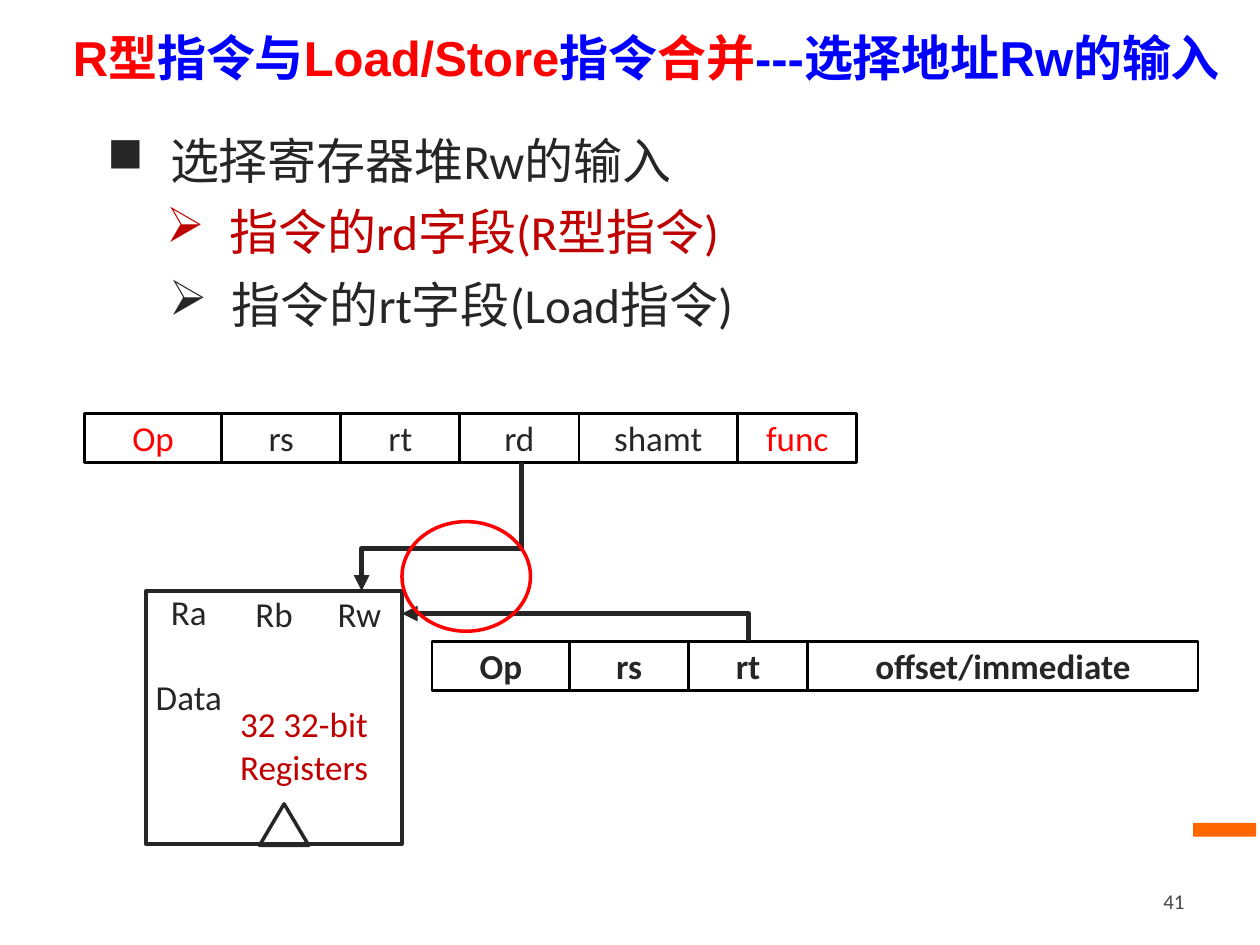
from lxml import etree
from pptx import Presentation
from pptx.dml.color import RGBColor
from pptx.enum.shapes import MSO_CONNECTOR, MSO_SHAPE
from pptx.enum.text import MSO_ANCHOR, PP_ALIGN
from pptx.oxml.ns import qn
from pptx.util import Inches, Pt

RED = RGBColor(0xFF, 0x00, 0x00)
BLUE = RGBColor(0x00, 0x00, 0xFF)
DARK_RED = RGBColor(0xC0, 0x00, 0x00)
INK = RGBColor(0x26, 0x26, 0x26)
GRAY = RGBColor(0x47, 0x47, 0x47)
BLACK = RGBColor(0x00, 0x00, 0x00)
WHITE = RGBColor(0xFF, 0xFF, 0xFF)
ORANGE = RGBColor(0xFF, 0x66, 0x00)

RECT, OVAL = MSO_SHAPE.RECTANGLE, MSO_SHAPE.OVAL
TRIANGLE = MSO_SHAPE.FLOWCHART_EXTRACT
ELBOW = MSO_CONNECTOR.ELBOW
LEFT, CENTER, RIGHT = PP_ALIGN.LEFT, PP_ALIGN.CENTER, PP_ALIGN.RIGHT
TOP, MIDDLE = MSO_ANCHOR.TOP, MSO_ANCHOR.MIDDLE


def add_run(p, text, **fmt):
    r = p.add_run()
    r.text = text
    color = fmt.pop("color", INK)
    for name, value in {"name": "Calibri", "size": Pt(20), **fmt}.items():
        setattr(r.font, name, value)
    r.font.color.rgb = color


def add_text(s, box, lines, align=LEFT, anchor=TOP, inset=(0.1, 0.05), bullet=None, **fmt):
    """Place a text box; each line is a string or a list of (text, color) runs."""
    tf = s.shapes.add_textbox(*map(Inches, box)).text_frame
    tf.word_wrap = True
    tf.vertical_anchor = anchor
    tf.margin_left = tf.margin_right = Inches(inset[0])
    tf.margin_top = tf.margin_bottom = Inches(inset[1])
    for i, line in enumerate(lines):
        p = tf.add_paragraph() if i else tf.paragraphs[0]
        p.alignment = align
        if bullet:
            pPr = p._p.get_or_add_pPr()
            pPr.set("marL", str(Inches(0.5)))
            pPr.set("indent", str(-Inches(0.5)))
            etree.SubElement(pPr, qn("a:buChar")).set("char", bullet)
        if isinstance(line, str):
            add_run(p, line, **fmt)
        else:
            for text, color in line:
                add_run(p, text, color=color, **fmt)


def add_shape(s, kind, box, fill=None, line=None, width=2):
    sp = s.shapes.add_shape(kind, *map(Inches, box))
    sp.shadow.inherit = False
    if fill is None:
        sp.fill.background()
    else:
        sp.fill.solid()
        sp.fill.fore_color.rgb = fill
    if line is None:
        sp.line.fill.background()
    else:
        sp.line.color.rgb = line
        sp.line.width = Pt(width)
    return sp


def add_bent_arrow(s, start, end, preset, adjust=None):
    """Draw an elbow arrow that leaves start vertically and runs left to end."""
    (x1, y1), (x2, y2) = start, end
    w, h = abs(y2 - y1), abs(x2 - x1)
    c = s.shapes.add_connector(ELBOW, 0, 0, 0, 0)
    c.left, c.top = Inches((x1 + x2 - w) / 2), Inches((y1 + y2 - h) / 2)
    c.width, c.height = Inches(w), Inches(h)
    c.line.color.rgb = INK
    c.line.width = Pt(3)
    spPr = c._element.spPr
    xfrm = spPr.find(qn("a:xfrm"))
    xfrm.set("rot", str((90 if y2 > y1 else 270) * 60000))
    if y2 < y1:
        xfrm.set("flipV", "1")
    geom = spPr.find(qn("a:prstGeom"))
    geom.set("prst", preset)
    if adjust is not None:
        gd = etree.SubElement(geom.find(qn("a:avLst")), qn("a:gd"))
        gd.set("name", "adj1")
        gd.set("fmla", f"val {round(adjust * 100000)}")
    etree.SubElement(spPr.find(qn("a:ln")), qn("a:tailEnd")).set("type", "triangle")
    etree.SubElement(spPr, qn("a:effectLst"))


def add_title(s, box):
    runs = [("R型", RED), ("指令与", BLUE), ("Load/Store", RED), ("指令", BLUE),
            ("合并", RED), ("---选择地址Rw的输入", BLUE)]
    add_text(s, box, [runs], anchor=MIDDLE, name="Arial", size=Pt(28), bold=True)


def add_outline(s, left, top):
    items = [(0, 0, "■", "选择寄存器堆Rw的输入", INK),
             (0.47, 0.56, "➢", "指令的rd字段(R型指令)", DARK_RED),
             (0.49, 1.14, "➢", "指令的rt字段(Load指令)", INK)]
    for dx, dy, bullet, text, color in items:
        add_text(s, (left + dx, top + dy, 7.24, 0.58), [text], inset=(0.11, 0.05),
                 bullet=bullet, size=Pt(28), color=color)


def add_instruction(s, left, top, fields, bold=False):
    """Lay instruction fields (text, width, color) side by side."""
    for text, width, color in fields:
        sp = add_shape(s, RECT, (left, top, width, 0.39), WHITE, BLACK, 1.5)
        tf = sp.text_frame
        tf.vertical_anchor = MIDDLE
        p = tf.paragraphs[0]
        p.alignment = CENTER
        add_run(p, text, color=color, bold=bold)
        left += width


def add_register_file(s, left, top, width, height):
    add_shape(s, RECT, (left, top, width, height), line=INK)
    add_shape(s, TRIANGLE, (left + 0.9, top + height - 0.32, 0.39, 0.33), line=INK)
    port = width / 3
    for text, col, dy in [("Ra", 0, 0), ("Rb", 1, 0.01), ("Rw", 2, 0.01), ("Data", 0, 0.67)]:
        add_text(s, (left + col * port, top + dy, port, 0.34), [text],
                 align=CENTER, inset=(0, 0))
    add_text(s, (left + 0.18, top + 0.84, 1.69, 0.78), ["32 32-bit", "Registers"],
             align=RIGHT, inset=(0.11, 0.05), color=DARK_RED)


def add_footer(s):
    add_shape(s, RECT, (9.47, 6.53, 0.5, 0.11), ORANGE)
    add_text(s, (7.17, 6.95, 2.33, 0.4), ["41"], align=RIGHT, anchor=MIDDLE,
             size=Pt(12), color=GRAY)


def main():
    prs = Presentation()
    prs.slide_width, prs.slide_height = Inches(10), Inches(7.5)
    s = prs.slides.add_slide(prs.slide_layouts[6])
    add_title(s, (0.48, 0.08, 9.52, 0.75))
    add_outline(s, 0.74, 0.99)
    add_register_file(s, 1.16, 4.69, 2.03, 2.01)
    add_instruction(s, 0.67, 3.28, [
        ("Op", 1.09, RED), ("rs", 0.945, INK), ("rt", 0.945, INK),
        ("rd", 0.945, INK), ("shamt", 1.26, INK), ("func", 0.945, RED)])
    add_bent_arrow(s, (4.14, 3.67), (2.87, 4.69), "bentConnector3", 0.67)
    add_instruction(s, 3.43, 5.09, [
        ("Op", 1.09, INK), ("rs", 0.945, INK), ("rt", 0.945, INK),
        ("offset/immediate", 3.1, INK)], bold=True)
    add_bent_arrow(s, (5.94, 5.09), (3.19, 4.87), "bentConnector2")
    add_shape(s, OVAL, (3.19, 4.14, 1.02, 0.87), line=RED)
    add_footer(s)
    prs.save("out.pptx")


if __name__ == "__main__":
    main()
